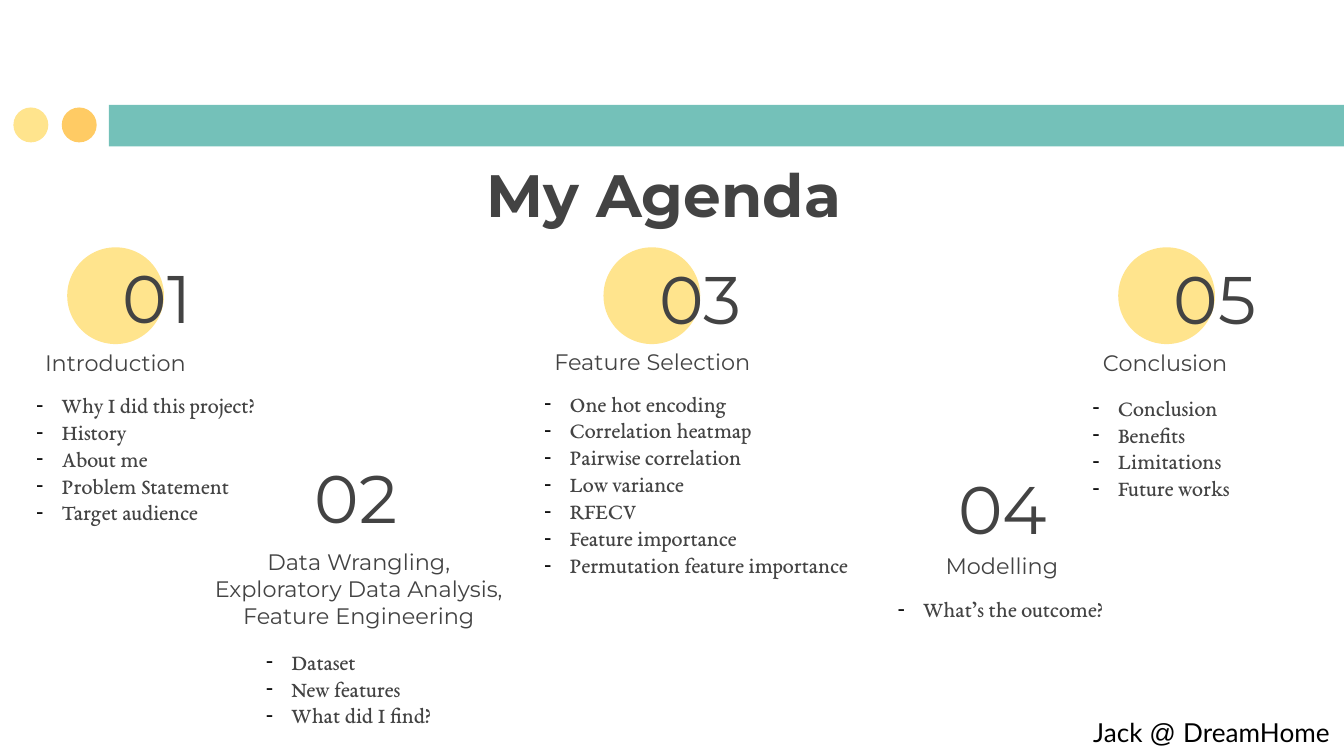
from lxml.etree import SubElement
from pptx import Presentation
from pptx.dml.color import RGBColor
from pptx.enum.shapes import MSO_SHAPE
from pptx.enum.text import MSO_ANCHOR, MSO_AUTO_SIZE, PP_ALIGN
from pptx.oxml.ns import qn
from pptx.util import Inches, Pt

THEME = {
    "teal": RGBColor.from_string("74C1B9"),
    "amber": RGBColor.from_string("FFCB64"),
    "yellow": RGBColor.from_string("FFE48D"),
    "title": {"name": "Montserrat", "size": Pt(32), "bold": True, "color": "434343"},
    "number": {"name": "Montserrat", "size": Pt(36), "color": "434343"},
    "heading": {"name": "Montserrat", "size": Pt(12), "color": "434343"},
    "list": {"name": "EB Garamond", "size": Pt(12), "color": "434343"},
    "footer": {"name": "Lato", "size": Pt(14), "color": "000000"},
    "footer_sign": {"name": "Arial", "size": Pt(14), "color": "000000"},
    "bullet": "000000",
}
BULLET_INDENT = Inches(0.19)

# Widescreen slide, 16:9
presentation = Presentation()
presentation.slide_width = Inches(10)
presentation.slide_height = Inches(10 * 9 / 16)
slide = presentation.slides.add_slide(presentation.slide_layouts[5])


def add_block(shape_type, box, color):
    shape = slide.shapes.add_shape(shape_type, *map(Inches, box))
    shape.shadow.inherit = False
    shape.fill.solid()
    shape.fill.fore_color.rgb = color
    shape.line.fill.background()


def write(shape, paragraphs, anchor, alignment, bulleted=False, inset=0.1):
    """Fill a shape; each paragraph is a list of (text, style) runs, "\n" breaks a line."""
    frame = shape.text_frame
    frame_format = {
        "word_wrap": True, "auto_size": MSO_AUTO_SIZE.NONE, "vertical_anchor": anchor,
        "margin_left": Inches(0.1), "margin_right": Inches(0.1),
        "margin_top": Inches(inset), "margin_bottom": Inches(inset),
    }
    for name, value in frame_format.items():
        setattr(frame, name, value)
    for index, runs in enumerate(paragraphs):
        paragraph = frame.add_paragraph() if index else frame.paragraphs[0]
        paragraph.alignment = alignment
        if bulleted:
            properties = paragraph._p.get_or_add_pPr()
            properties.set("marL", str(BULLET_INDENT))
            properties.set("indent", str(-BULLET_INDENT))
            bullet_color = SubElement(properties, qn("a:buClr"))
            SubElement(bullet_color, qn("a:srgbClr"), val=THEME["bullet"])
            SubElement(properties, qn("a:buFont"), typeface="Arial")
            SubElement(properties, qn("a:buChar"), char="-")
        for text, style in runs:
            if text == "\n":
                paragraph.add_line_break()
                size = str(THEME[style]["size"].centipoints)
                SubElement(paragraph._p[-1], qn("a:rPr"), sz=size)
                continue
            run = paragraph.add_run()
            run.text = text
            for name, value in THEME[style].items():
                if name == "color":
                    run.font.color.rgb = RGBColor.from_string(value)
                else:
                    setattr(run.font, name, value)


# Header band and dots
add_block(MSO_SHAPE.RECTANGLE, (0.81, 0.78, 9.19, 0.31), THEME["teal"])
for left, color in ((0.46, "amber"), (0.1, "yellow")):
    add_block(MSO_SHAPE.OVAL, (left, 0.8, 0.26, 0.26), THEME[color])

# Title
title = slide.shapes.title
title_box = {"left": 3.52, "top": 1.1, "width": 2.95, "height": 0.71}
for name, value in title_box.items():
    setattr(title, name, Inches(value))
write(title, [[("My Agenda", "title")]], MSO_ANCHOR.BOTTOM, PP_ALIGN.LEFT)

# Agenda sections: circle left, number position, heading box, list box
sections = [
    {"circle": 0.5, "number": (0.68, 1.91), "heading_box": (0.17, 2.51, 1.38, 0.39),
     "heading": ["Introduction"], "list_box": (0.17, 2.81, 1.89, 1.18),
     "items": ["Why I did this project?", "History", "About me",
               "Problem Statement", "Target audience"]},
    {"circle": None, "number": (2.16, 3.4), "heading_box": (1.39, 4.07, 2.56, 0.71),
     "heading": ["Data Wrangling,", "\n",
                 "Exploratory Data Analysis, Feature Engineering"],
     "list_box": (1.88, 4.72, 1.57, 0.79),
     "items": ["Dataset", "New features", "What did I find?"]},
    {"circle": 4.49, "number": (4.72, 1.92), "heading_box": (3.83, 2.5, 2.05, 0.39),
     "heading": ["Feature Selection"], "list_box": (3.95, 2.8, 2.48, 1.57),
     "items": ["One hot encoding", "Correlation heatmap", "Pairwise correlation",
               "Low variance", "RFECV", "Feature importance",
               "Permutation feature importance"]},
    {"circle": None, "number": (6.97, 3.48), "heading_box": (6.67, 4.02, 1.57, 0.39),
     "heading": ["Modelling"], "list_box": (6.58, 4.33, 1.77, 0.39),
     "items": ["What’s the outcome?"]},
    {"circle": 8.32, "number": (8.55, 1.92), "heading_box": (7.98, 2.51, 1.38, 0.39),
     "heading": ["Conclusion"], "list_box": (8.03, 2.83, 1.77, 1.02),
     "items": ["Conclusion", "Benefits", "Limitations", "Future works"]},
]
for position, section in enumerate(sections, start=1):
    if section["circle"] is not None:
        add_block(MSO_SHAPE.OVAL, (section["circle"], 1.84, 0.72, 0.72), THEME["yellow"])
    number_runs = [(f"{position:02d}", "number")]
    heading_runs = [(text, "heading") for text in section["heading"]]
    item_paragraphs = [[(item, "list")] for item in section["items"]]
    parts = [
        ((*section["number"], 0.98, 0.59), [number_runs],
         MSO_ANCHOR.MIDDLE, PP_ALIGN.CENTER, False),
        (section["heading_box"], [heading_runs],
         MSO_ANCHOR.BOTTOM, PP_ALIGN.CENTER, False),
        (section["list_box"], item_paragraphs,
         MSO_ANCHOR.TOP, PP_ALIGN.LEFT, True),
    ]
    for box, paragraphs, anchor, alignment, bulleted in parts:
        text_box = slide.shapes.add_textbox(*map(Inches, box))
        write(text_box, paragraphs, anchor, alignment, bulleted)

# Footer, kept on one line
footer = slide.shapes.add_textbox(Inches(8.03), Inches(5.28), Inches(1.97), Inches(0.34))
footer_runs = [("Jack ", "footer"), ("@ ", "footer_sign"), ("DreamHome", "footer")]
write(footer, [footer_runs], MSO_ANCHOR.TOP, PP_ALIGN.CENTER, inset=0.05)
footer.text_frame.word_wrap = False

presentation.save("out.pptx")
